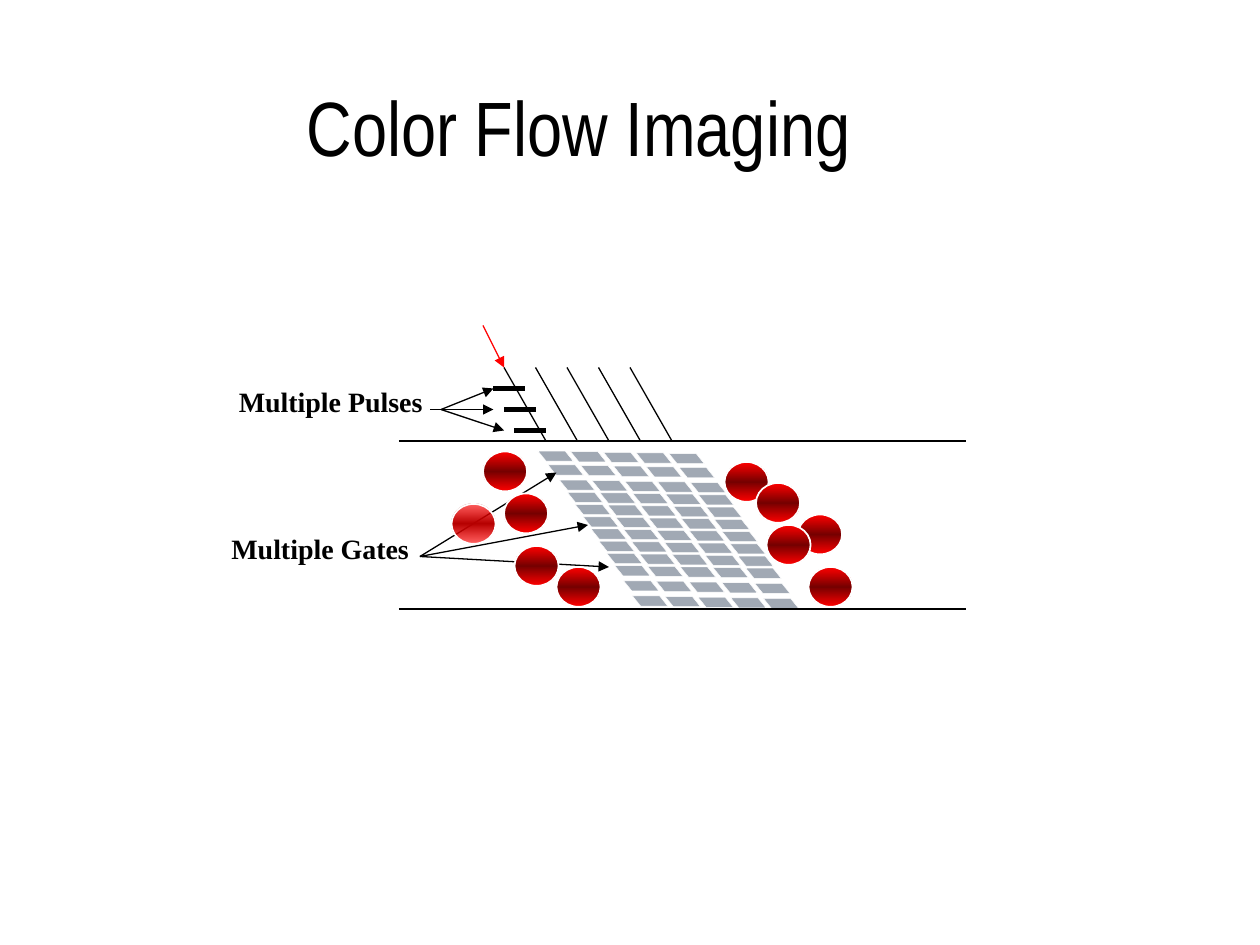
"""Build the Color Flow Imaging slide."""
from pptx import Presentation
from pptx.dml.color import RGBColor as RGB
from pptx.enum.shapes import MSO_CONNECTOR as CXN, MSO_SHAPE as SHAPE
from pptx.enum.text import MSO_ANCHOR as ANCHOR, MSO_AUTO_SIZE as FIT, PP_ALIGN as ALIGN
from pptx.oxml import parse_xml
from pptx.oxml.ns import nsdecls, qn
from pptx.util import Inches, Pt
from lxml.etree import SubElement

COLORS = {"black": "000000", "white": "FFFFFF", "red": "FF0000",
          "dark": "760000", "mid": "B60000", "gate": "44546A"}
RGBS = {name: RGB.from_string(value) for name, value in COLORS.items()}

prs = Presentation()
prs.slide_width, prs.slide_height = Inches(10), Inches(7.5)
slide = prs.slides.add_slide(prs.slide_layouts[5])
U = prs.slide_width / 120


def grid(*values):
    return [round(v * U) for v in values]


def add_line(shapes, ends, color="black", width=0.75, arrow=False):
    s = shapes.add_connector(CXN.STRAIGHT, *ends)
    s.line.color.rgb, s.line.width = RGBS[color], Pt(width)
    if arrow:
        SubElement(s.line._get_or_add_ln(), qn("a:tailEnd"), type="triangle")
    SubElement(s._element.spPr, qn("a:effectLst"))


title = slide.shapes.title
title.left, title.top, title.width, title.height = grid(28, 7, 59.6, 10)
texts = [(title, "Color Flow Imaging", ALIGN.LEFT, FIT.NONE,
          {"name": "Arial Narrow", "size": Pt(44), "bold": False})]
for x, y, label in [(20, 36, "Multiple Pulses"), (19, 50, "Multiple Gates")]:
    s = slide.shapes.add_textbox(*grid(x, y, 23, 4.4))
    texts.append((s, label, ALIGN.CENTER, FIT.SHAPE_TO_FIT_TEXT,
                  {"name": "Times New Roman", "size": Pt(16), "bold": True}))
for s, text, align, fit, font in texts:
    tf = s.text_frame
    tf.word_wrap, tf.auto_size, tf.vertical_anchor = True, fit, ANCHOR.TOP
    p = tf.paragraphs[0]
    p.alignment = align
    r = p.add_run()
    r.text = text
    r.font.color.rgb = RGBS["black"]
    for key, value in font.items():
        setattr(r.font, key, value)

gates = slide.shapes.add_group_shape().shapes
COL_STEP, COL_DROP = 0.26, 0.005
inner = [(4.44 + 0.44 * i / 7, 3.81 + 0.68 * i / 7) for i in range(8)]
outer = [(4.35, 3.69), (4.95, 4.61), (5.02, 4.73), (4.27, 3.58)]
for rows, divided in [(inner, True), (outer, False)]:
    for col in range(5):
        dx, dy = col * COL_STEP, col * COL_DROP
        if divided:
            ends = (3.92 + dx, 2.83 + dy, 5.69 + dx, 5.57 + dy)
            add_line(gates, [Inches(v) for v in ends], "white", 1)
        for x, y in rows:
            s = gates.add_shape(SHAPE.PARALLELOGRAM, Inches(x + dx), Inches(y + dy),
                                Inches(0.28), Inches(0.08))
            s.adjustments[0] = 0.81
            s._element.spPr.xfrm.set("flipH", "1")
            s.shadow.inherit = False
            s.fill.solid()
            s.fill.fore_color.rgb = RGBS["gate"]
            SubElement(s._element.spPr.find(".//" + qn("a:srgbClr")), qn("a:alpha"), val="50000")
            s.line.color.rgb, s.line.width = RGBS["white"], Pt(0.25)

for y in (42, 58):
    add_line(slide.shapes, grid(38, y, 92, y))
for i in range(5):
    add_line(slide.shapes, grid(48 + 3 * i, 35, 52 + 3 * i, 42))
for i in range(3):
    add_line(slide.shapes, grid(47 + i, 37 + 2 * i, 50 + i, 37 + 2 * i), width=3)
add_line(slide.shapes, grid(46, 31, 48, 35), "red", arrow=True)

pointers = [(41, 39, 47, 39), (42, 39, 47, 37), (42, 39, 48, 41),
            (40, 53, 56, 50), (40, 53, 53, 45), (40, 53, 58, 54)]
for ends in pointers:
    add_line(slide.shapes, grid(*ends), arrow=True)

cells = [(69, 44), (72, 46), (46, 43), (48, 47), (53, 54),
         (49, 52), (43, 48), (77, 54), (76, 49), (73, 50)]
pale = (43, 48)
for cell in cells:
    s = slide.shapes.add_shape(SHAPE.OVAL, *grid(*cell, 4.2, 3.8))
    s.shadow.inherit = False
    s.line.color.rgb, s.line.width = RGBS["white"], Pt(1)
    alpha, center = (61000, "mid") if cell == pale else (100000, "dark")
    stops = "".join(
        f'<a:gs pos="{pos}"><a:srgbClr val="{COLORS[color]}"><a:alpha val="{a}"/></a:srgbClr></a:gs>'
        for pos, color, a in [(0, "red", alpha), (50000, center, 100000), (100000, "red", alpha)])
    s._element.spPr.find(qn("a:prstGeom")).addnext(parse_xml(
        f'<a:gradFill {nsdecls("a")} rotWithShape="1"><a:gsLst>{stops}</a:gsLst>'
        '<a:lin ang="5400000" scaled="1"/></a:gradFill>'))

prs.save("out.pptx")
